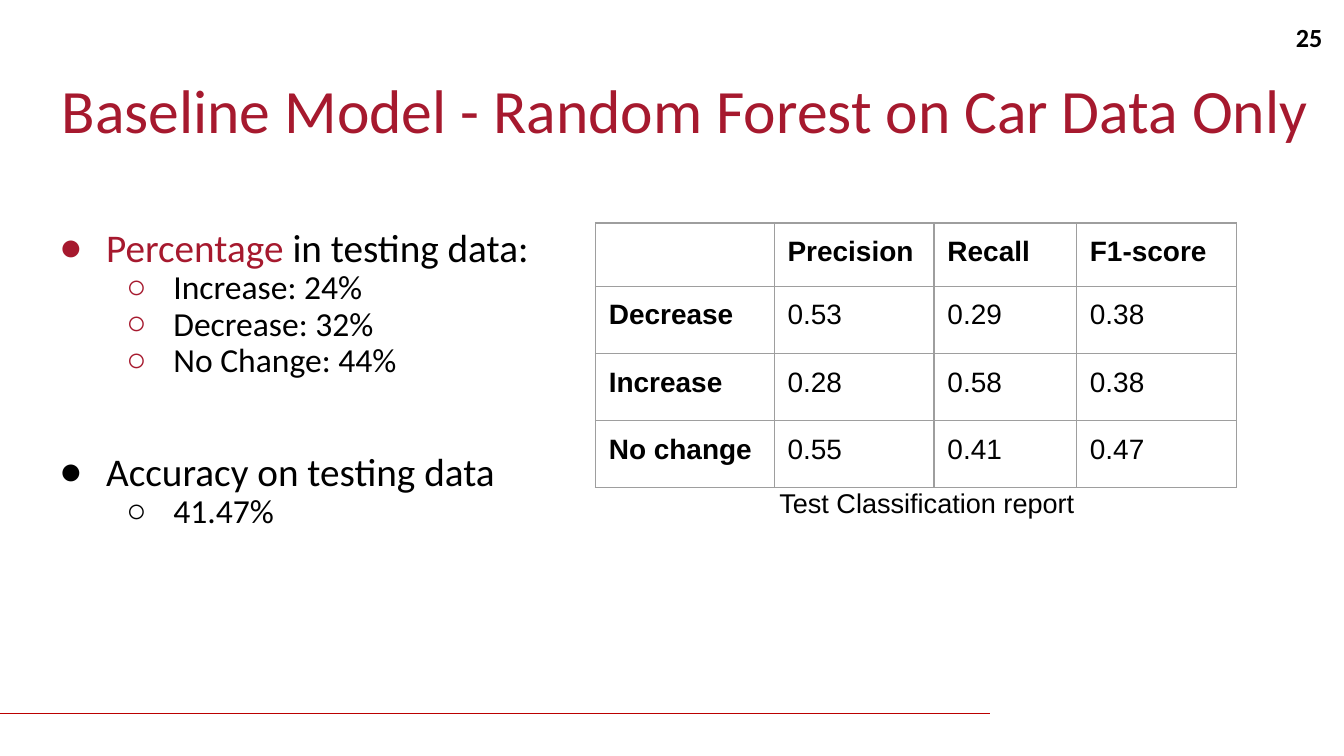
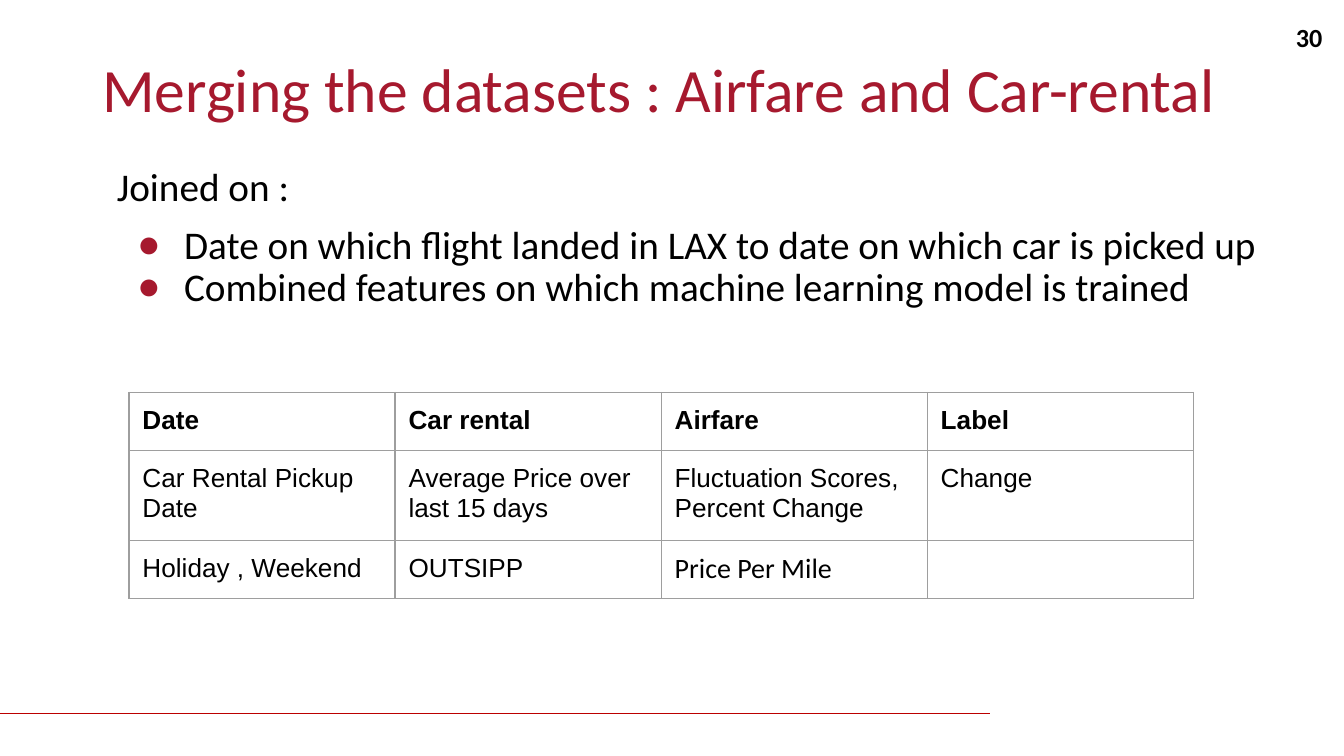
import pptx
import pptx.util
import pptx.dml.color
import pptx.enum.shapes
import pptx.enum.text
import pptx.oxml.ns
import lxml.etree

Inches, Pt = pptx.util.Inches, pptx.util.Pt
ALIGN = pptx.enum.text.PP_ALIGN
ANCHOR = pptx.enum.text.MSO_ANCHOR

THEME = {
    "red": "A6192E", "rule": "BB0000", "ink": "000000", "grid": "9E9E9E",
    "head": "Calibri", "cell": "Arial",
    "title": 33, "body": 21, "sub": 18, "page": 14, "note": 14.5,
    "tight": 0.9, "gap": 8,
}
MARKS = {1: "●", 2: "○"}
INDENT = {1: 0.5, 2: 1}
HANG = -0.35
WIDE = 10
HIGH = WIDE * 9 / 16

# Body lines: level (0 plain, 1 dot, 2 ring), mark colour, space before, runs
SLIDES = [
    {
        "page": "25",
        "title": ("Baseline Model - Random Forest on Car Data Only", (0.39, 0.3, 9.51, 1.09)),
        "box": (0.22, 1.66, 4.01, 3.06),
        "body": [
            (1, "red", 8, [("Percentage ", "red"), ("in testing data:", "ink")]),
            (2, "red", 0, [("Increase: 24%", "ink")]),
            (2, "red", 0, [("Decrease: 32%", "ink")]),
            (2, "red", 0, [("No Change: 44%", "ink")]),
            (1, "ink", 39, [("Accuracy on testing data", "ink")]),
            (2, "ink", 0, [("41.47%", "ink")]),
        ],
        "table": {
            "at": (4.43, 1.66), "size": 15, "side": True,
            "cols": [1.33, 1.19, 1.06, 1.19], "rows": [0.47, 0.5, 0.5, 0.5],
            "data": [
                ["", "Precision", "Recall", "F1-score"],
                ["Decrease", "0.53", "0.29", "0.38"],
                ["Increase", "0.28", "0.58", "0.38"],
                ["No change", "0.55", "0.41", "0.47"],
            ],
            "odd": {},
        },
        "note": ("Test Classification report", (5.7, 3.55, 2.62, 0.43)),
    },
    {
        "page": "30",
        "title": ("Merging the datasets : Airfare and Car-rental", (0.69, 0.3, 8.62, 0.77)),
        "box": (0.8, 1.21, 8.84, 3.57),
        "body": [
            (0, "ink", 8, [("Joined on :", "ink")]),
            (1, "red", 8, [("Date on which flight landed in LAX to date on which car is picked up", "ink")]),
            (1, "red", 0, [("Combined features on which machine learning model is trained", "ink")]),
        ],
        "table": {
            "at": (0.96, 2.92), "size": 14, "side": False,
            "cols": [1.98] * 4, "rows": [0.42] * 3,
            "data": [
                ["Date", "Car rental", "Airfare", "Label"],
                ["Car Rental Pickup Date", "Average Price over last 15 days",
                 "Fluctuation Scores,\nPercent Change", "Change"],
                ["Holiday , Weekend", "OUTSIPP", "Price Per Mile", ""],
            ],
            "odd": {(2, 2): {"face": "head", "size": 15, "before": 4}},
        },
    },
]


def put(thing, **values):
    for name, value in values.items():
        setattr(thing, name, value)


def tint(name):
    return pptx.dml.color.RGBColor.from_string(THEME[name])


def node(top, tag, **values):
    return lxml.etree.SubElement(top, pptx.oxml.ns.qn(tag), **values)


def write(para, text, size, face="head", color="ink", bold=False):
    run = para.add_run()
    run.text = text
    put(run.font, name=THEME[face], size=Pt(size), bold=bold)
    run.font.color.rgb = tint(color)


def space(para, before=THEME["gap"]):
    put(para, line_spacing=THEME["tight"], space_before=Pt(before))


def frame(slide, at, pads, anchor=ANCHOR.TOP):
    """Add a text box with (side, end) padding and return its text frame."""
    text = slide.shapes.add_textbox(*map(Inches, at)).text_frame
    side, end = map(Inches, pads)
    put(text, word_wrap=True, vertical_anchor=anchor, margin_left=side,
        margin_right=side, margin_top=end, margin_bottom=end)
    return text


def mark(para, level, color):
    """Give a paragraph its hanging bullet."""
    props = para._p.get_or_add_pPr()
    props.set("marL", str(Inches(INDENT[level])))
    props.set("indent", str(Inches(HANG)))
    node(node(props, "a:buClr"), "a:srgbClr", val=THEME[color])
    node(props, "a:buFont", typeface=THEME["cell"])
    node(props, "a:buChar", char=MARKS[level])


def base(slide, page, title, at):
    """Draw what every slide shares: rule, title and page number."""
    y = Inches(5.31)
    rule = slide.shapes.add_connector(
        pptx.enum.shapes.MSO_CONNECTOR.STRAIGHT, 0, y, Inches(7.37), y)
    rule.line.fill.solid()
    rule.line.fill.fore_color.rgb = tint("rule")
    rule.line.width = Pt(0.75)
    node(rule._element.spPr, "a:effectLst")
    rule._element.remove(rule._element.find(pptx.oxml.ns.qn("p:style")))

    para = frame(slide, at, (0.07, 0.04), ANCHOR.MIDDLE).paragraphs[0]
    space(para, 0)
    write(para, title, THEME["title"], color="red")

    para = frame(slide, (9.31, 0.09, 0.6, 0.43), (0.07, 0.07)).paragraphs[0]
    para.alignment = ALIGN.RIGHT
    write(para, page, THEME["page"], bold=True)


def body(slide, at, lines):
    text = frame(slide, at, (0.07, 0.04))
    for i, (level, color, before, runs) in enumerate(lines):
        para = text.add_paragraph() if i else text.paragraphs[0]
        space(para, before)
        if level:
            mark(para, level, color)
        for words, ink in runs:
            write(para, words, THEME["sub" if level == 2 else "body"], color=ink)


def edge(cell):
    """Outline a cell; border nodes come before its fill."""
    props = cell._tc.get_or_add_tcPr()
    for i, side in enumerate(("a:lnL", "a:lnR", "a:lnT", "a:lnB")):
        line = node(props, side, w=str(Pt(0.75)))
        node(node(line, "a:solidFill"), "a:srgbClr", val=THEME["grid"])
        props.insert(i, line)


def fill(cell, words, size, bold, face="cell", before=None):
    pad = Inches(0.1)
    put(cell, margin_left=pad, margin_right=pad, margin_top=pad, margin_bottom=pad)
    cell.fill.background()
    edge(cell)
    text = cell.text_frame
    for i, line in enumerate(words.split("\n")):
        para = text.add_paragraph() if i else text.paragraphs[0]
        if before:
            space(para, before)
        if line:
            write(para, line, size, face, bold=bold)
        else:
            node(para._p, "a:endParaRPr", sz=str(size * 100))


def grid(slide, at, size, side, cols, rows, data, odd):
    """Add a table; side makes the first column bold, odd lists special cells."""
    spot = (*at, sum(cols), sum(rows))
    table = slide.shapes.add_table(len(rows), len(cols), *map(Inches, spot)).table
    put(table, first_row=False, horz_banding=False)
    for col, width in zip(table.columns, cols):
        col.width = Inches(width)
    for r, row in enumerate(data):
        table.rows[r].height = Inches(rows[r])
        for c, words in enumerate(row):
            bold = r == 0 or (side and c == 0)
            look = {"size": size, "bold": bold, **odd.get((r, c), {})}
            fill(table.cell(r, c), words, **look)


def main():
    deck = pptx.Presentation()
    put(deck, slide_width=Inches(WIDE), slide_height=Inches(HIGH))
    for item in SLIDES:
        slide = deck.slides.add_slide(deck.slide_layouts[6])
        base(slide, item["page"], *item["title"])
        body(slide, item["box"], item["body"])
        grid(slide, **item["table"])
        if "note" in item:
            words, at = item["note"]
            para = frame(slide, at, (0.1, 0.1)).paragraphs[0]
            space(para)
            write(para, words, THEME["note"], "cell")
    deck.save("out.pptx")


if __name__ == "__main__":
    main()
